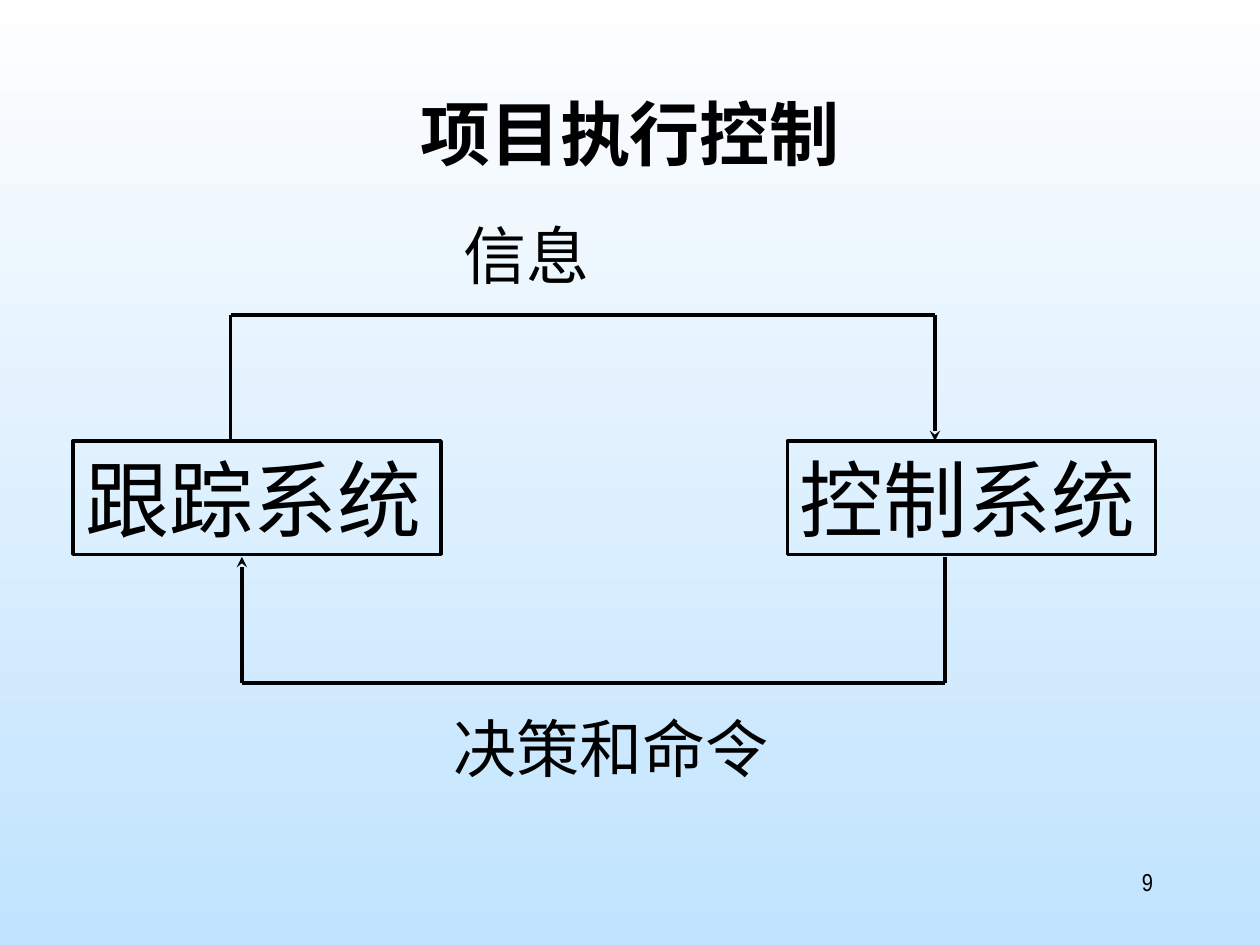
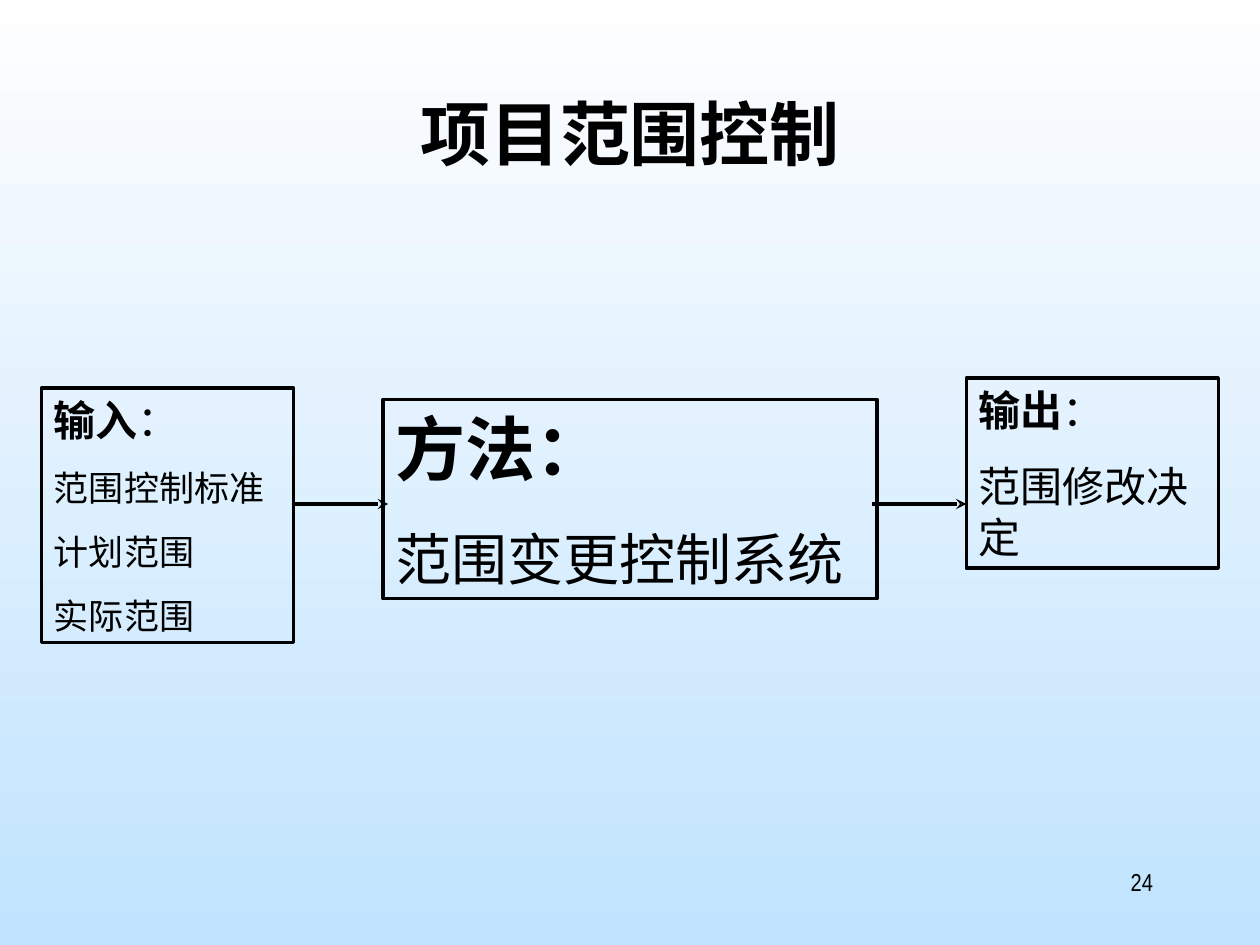
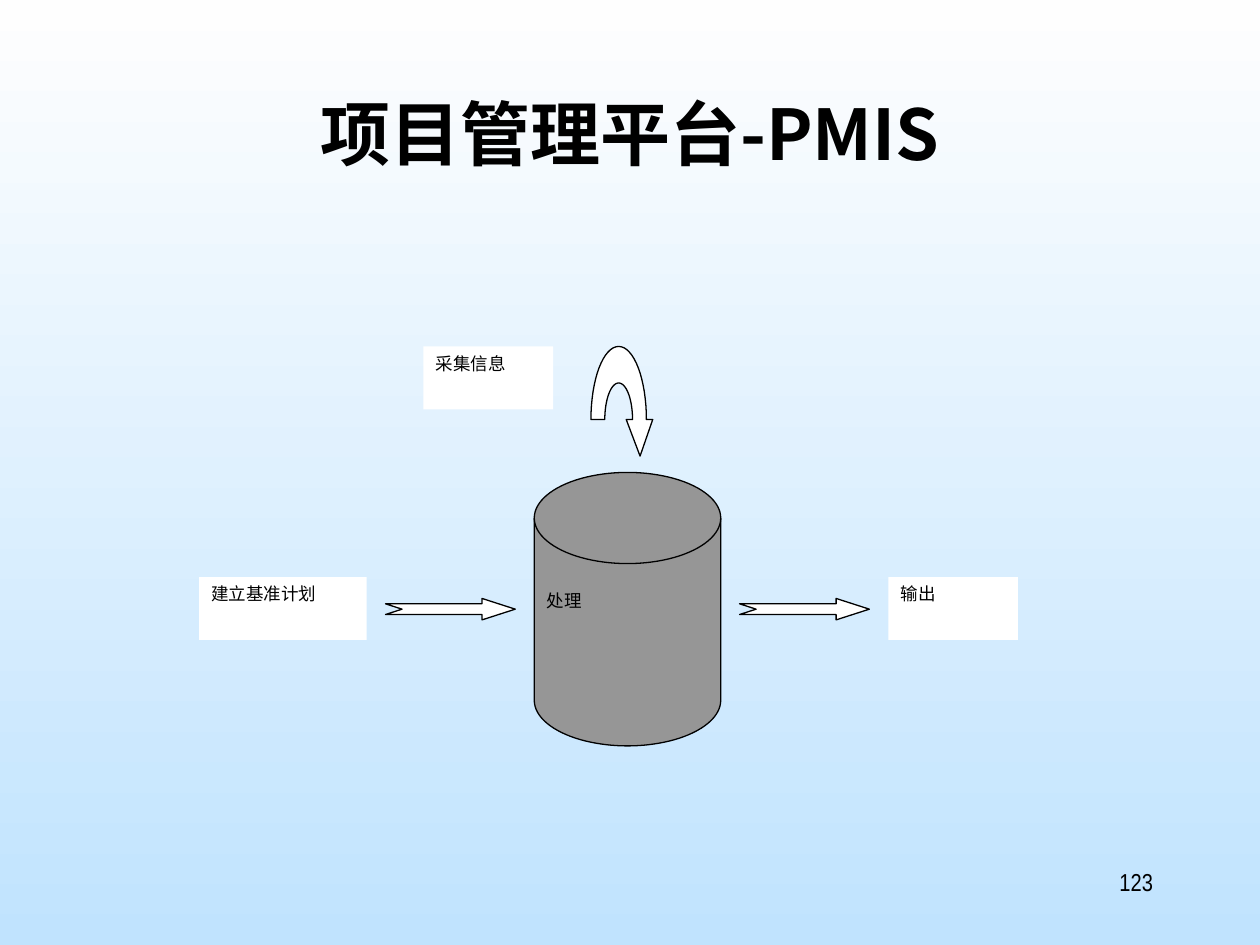
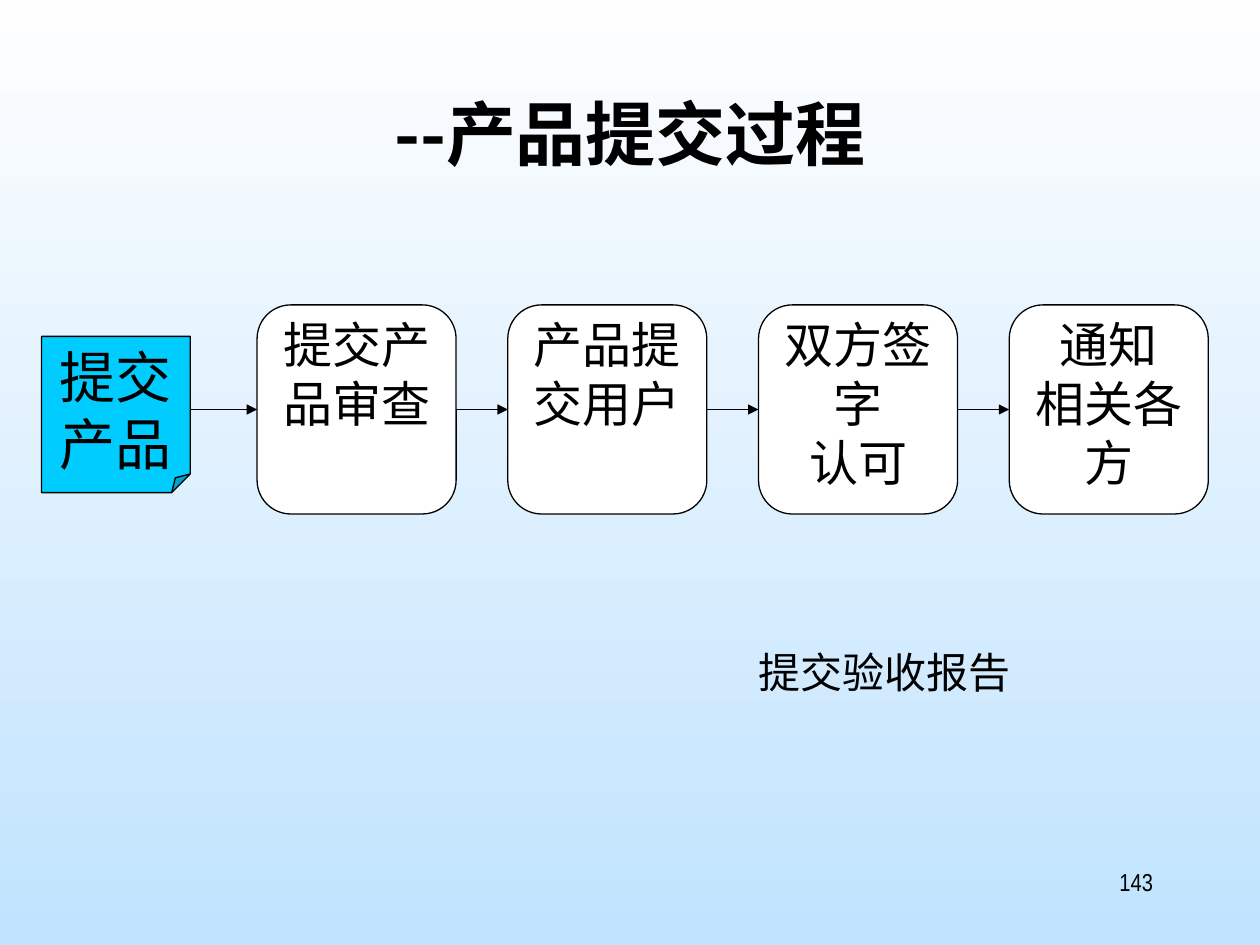
import math
from dataclasses import dataclass

from lxml import etree
from pptx import Presentation
from pptx.dml.color import RGBColor
from pptx.enum.shapes import MSO_CONNECTOR, MSO_SHAPE
from pptx.enum.text import MSO_ANCHOR, MSO_AUTO_SIZE, PP_ALIGN
from pptx.oxml.ns import qn
from pptx.util import Inches, Pt

LEFT, CENTER, RIGHT, JUSTIFY = PP_ALIGN.LEFT, PP_ALIGN.CENTER, PP_ALIGN.RIGHT, PP_ALIGN.JUSTIFY
TOP = MSO_ANCHOR.TOP
NO_AUTOFIT = MSO_AUTO_SIZE.NONE
STRAIGHT = MSO_CONNECTOR.STRAIGHT
RECTANGLE = MSO_SHAPE.RECTANGLE
ROUNDED = MSO_SHAPE.ROUNDED_RECTANGLE
FOLDED = MSO_SHAPE.FOLDED_CORNER
CYLINDER = MSO_SHAPE.FLOWCHART_MAGNETIC_DISK
NOTCHED_ARROW = MSO_SHAPE.NOTCHED_RIGHT_ARROW
TITLE_ONLY = 5
LEFT_SIDE, RIGHT_SIDE = 1, 3


@dataclass(frozen=True)
class Theme:
    ink: str = "000000"
    paper: str = "FFFFFF"
    sky_top: str = "FEFEFE"
    sky_bottom: str = "C0E3FE"
    store: str = "969696"
    product: str = "00CCFF"
    title_font: str = "Noto Sans CJK SC"
    body_font: str = "Arial Narrow"
    diagram_font: str = "Times New Roman"
    title_size: int = 40
    system_size: int = 48
    flow_size: int = 36
    note_size: int = 24
    number_size: int = 14
    label_size: int = 10
    product_size: int = 32
    step_size: int = 28
    thick: float = 2
    thin: float = 0.75


THEME = Theme()
TITLE_BOX = (0.75, 0.67, 8.5, 1.25)
NUMBER_BOX = (7.17, 6.83, 2.08, 0.5)

SYSTEMS = [("跟踪系统", 0.58), ("控制系统", 6.25)]
SYSTEM_TOP, SYSTEM_WIDTH, SYSTEM_HEIGHT = 3.5, 2.92, 0.9
FLOWS = [
    ("信息", (3.58, 1.67, 1.58, 0.7), [(1.83, 3.5), (1.83, 2.5), (7.42, 2.5), (7.42, 3.5)]),
    ("决策和命令", (3.5, 5.58, 2.83, 0.7), [(7.5, 4.42), (7.5, 5.42), (1.92, 5.42), (1.92, 4.42)]),
]

SCOPE_BOXES = [
    ((3.04, 3.17, 3.92, 1.58), [("方法：", "", 40), ("", "范围变更控制系统", 32)]),
    ((0.33, 3.08, 2, 2.02), [("输入", "：", 24), ("", "范围控制标准", 20),
                             ("", "计划范围", 20), ("", "实际范围", 20)]),
    ((7.67, 3, 2, 1.51), [("输出", "：", 24), ("", "范围修改决定", 24)]),
]
SCOPE_ARROW_STARTS, SCOPE_ARROW_Y, SCOPE_ARROW_LENGTH = (2.33, 6.92), 4, 0.75

PLATFORM_LABELS = [
    ("建立基准计划", (1.58, 4.58, 1.33, 0.5)),
    ("输出", (7.05, 4.58, 1.03, 0.5)),
    ("采集信息", (3.36, 2.75, 1.03, 0.5)),
]
PROCESS_LABEL, PROCESS_BOX = "处理", (4.24, 3.75, 1.48, 2.17)
BLOCK_ARROWS = [(3.06, 4.75, 1.03, 0.17), (5.87, 4.75, 1.03, 0.17)]
TURN_CENTER = (4.91, 3.33)
TURN_OUTER, TURN_INNER = (0.22, 0.58), (0.11, 0.29)
TURN_HEAD = [(5.18, 3.33), (5.08, 3.62), (4.97, 3.33)]

PRODUCT, PRODUCT_BOX = "提交产品", (0.33, 2.67, 1.18, 1.24)
STEPS = [["提交产品审查"], ["产品提交用户"], ["双方签字", "认可"], ["通知", "相关各方"]]
STEP_LEFT, STEP_TOP, STEP_WIDTH, STEP_HEIGHT, STEP_PITCH = 2.04, 2.42, 1.58, 1.66, 1.99
REPORT, REPORT_BOX = "提交验收报告", (5.92, 5.08, 2.42, 0.5)


def color(value):
    return RGBColor.from_string(value)


def inches(values):
    return [Inches(value) for value in values]


def set_margins(frame, side=0.1, top=0.05):
    frame.margin_left = frame.margin_right = Inches(side)
    frame.margin_top, frame.margin_bottom = Inches(top), Inches(0.05)
    frame.vertical_anchor = TOP
    frame.auto_size = NO_AUTOFIT
    frame.word_wrap = True


def style(paragraph, font, size, align=LEFT, bold=False):
    paragraph.alignment = align
    paragraph.font.name = font
    paragraph.font.size = Pt(size)
    paragraph.font.bold = bold
    paragraph.font.color.rgb = color(THEME.ink)


def write(shape, lines, font, size, align=LEFT, side=0.1, top=0.05):
    frame = shape.text_frame
    set_margins(frame, side, top)
    frame.text = "\n".join(lines)
    for paragraph in frame.paragraphs:
        style(paragraph, font, size, align)


def paint(shape, fill=None, line=None, width=THEME.thin):
    shape.shadow.inherit = False
    if fill:
        shape.fill.solid()
        shape.fill.fore_color.rgb = color(fill)
    else:
        shape.fill.background()
    if line:
        shape.line.color.rgb = color(line)
        shape.line.width = Pt(width)
    else:
        shape.line.fill.background()
    return shape


def add_shape(slide, kind, box, **paint_options):
    return paint(slide.shapes.add_shape(kind, *inches(box)), **paint_options)


def add_text(slide, text, box, size, align=LEFT):
    write(slide.shapes.add_textbox(*inches(box)), [text], THEME.body_font, size, align)


def add_line(slide, start, end, width, head=None):
    connector = slide.shapes.add_connector(STRAIGHT, *inches(start + end))
    connector.line.color.rgb = color(THEME.ink)
    connector.line.width = Pt(width)
    properties = connector.line._get_or_add_ln()
    if head:
        etree.SubElement(properties, qn("a:tailEnd"), type=head)
    etree.SubElement(properties.getparent(), qn("a:effectLst"))
    return connector


def set_background(master):
    fill = master.background.fill
    fill.gradient()
    fill.gradient_angle = 270
    for stop, value in zip(fill.gradient_stops, (THEME.sky_top, THEME.sky_bottom)):
        stop.color.rgb = color(value)


def add_slide(presentation, title_text, number):
    slide = presentation.slides.add_slide(presentation.slide_layouts[TITLE_ONLY])
    title = slide.shapes.title
    title.left, title.top, title.width, title.height = inches(TITLE_BOX)
    title.text_frame.text = title_text
    set_margins(title.text_frame)
    style(title.text_frame.paragraphs[0], THEME.title_font, THEME.title_size, CENTER, True)
    add_text(slide, str(number), NUMBER_BOX, THEME.number_size, RIGHT)
    return slide


def build_control_loop(slide):
    for name, left in SYSTEMS:
        box = (left, SYSTEM_TOP, SYSTEM_WIDTH, SYSTEM_HEIGHT)
        system = add_shape(slide, RECTANGLE, box, line=THEME.ink, width=THEME.thick)
        write(system, [name], THEME.body_font, THEME.system_size)
    for name, box, corners in FLOWS:
        add_text(slide, name, box, THEME.flow_size)
        for start, end in zip(corners, corners[1:]):
            head = "stealth" if end == corners[-1] else None
            add_line(slide, start, end, THEME.thick, head)


def build_scope_control(slide):
    for box, lines in SCOPE_BOXES:
        shape = add_shape(slide, RECTANGLE, box, line=THEME.ink, width=THEME.thick)
        frame = shape.text_frame
        set_margins(frame)
        for index, (strong, plain, size) in enumerate(lines):
            paragraph = frame.add_paragraph() if index else frame.paragraphs[0]
            style(paragraph, THEME.body_font, size)
            if index:
                paragraph.space_before = Pt(size * 0.625)
            for text, bold in ((strong, True), (plain, False)):
                if text:
                    run = paragraph.add_run()
                    run.text = text
                    run.font.bold = bold
    for x in SCOPE_ARROW_STARTS:
        add_line(slide, (x, SCOPE_ARROW_Y), (x + SCOPE_ARROW_LENGTH, SCOPE_ARROW_Y),
                 THEME.thick, "stealth")


def half_ellipse(radii, steps=32):
    angles = [math.pi * (1 - step / steps) for step in range(steps + 1)]
    return [(TURN_CENTER[0] + radii[0] * math.cos(angle),
             TURN_CENTER[1] - radii[1] * math.sin(angle)) for angle in angles]


def build_platform(slide):
    for text, box in PLATFORM_LABELS:
        label = add_shape(slide, RECTANGLE, box, fill=THEME.paper)
        write(label, [text], THEME.diagram_font, THEME.label_size, JUSTIFY)
    outline = half_ellipse(TURN_OUTER) + TURN_HEAD + half_ellipse(TURN_INNER)[::-1]
    points = [inches(point) for point in outline]
    builder = slide.shapes.build_freeform(*points[0])
    builder.add_line_segments(points[1:], close=True)
    paint(builder.convert_to_shape(), THEME.paper, THEME.ink)
    process = add_shape(slide, CYLINDER, PROCESS_BOX, fill=THEME.store, line=THEME.ink)
    write(process, [PROCESS_LABEL], THEME.diagram_font, THEME.label_size, JUSTIFY, top=0.21)
    for box in BLOCK_ARROWS:
        arrow = add_shape(slide, NOTCHED_ARROW, box, fill=THEME.paper, line=THEME.ink)
        arrow.adjustments[0], arrow.adjustments[1] = 0.5, 1.55


def build_delivery(slide):
    product = add_shape(slide, FOLDED, PRODUCT_BOX, fill=THEME.product, line=THEME.ink)
    fold = next(product.element.iter(qn("a:avLst")))
    etree.SubElement(fold, qn("a:gd"), name="adj", fmla="val 12500")
    write(product, [PRODUCT], THEME.diagram_font, THEME.product_size, CENTER, side=0)
    middle = STEP_TOP + STEP_HEIGHT / 2
    previous, previous_right = None, PRODUCT_BOX[0] + PRODUCT_BOX[2]
    for index, lines in enumerate(STEPS):
        left = STEP_LEFT + index * STEP_PITCH
        box = (left, STEP_TOP, STEP_WIDTH, STEP_HEIGHT)
        step = add_shape(slide, ROUNDED, box, fill=THEME.paper, line=THEME.ink)
        step.adjustments[0] = 0.17
        write(step, lines, THEME.diagram_font, THEME.step_size, CENTER, top=0)
        arrow = add_line(slide, (previous_right, middle), (left, middle), THEME.thin, "triangle")
        if previous:
            arrow.begin_connect(previous, RIGHT_SIDE)
        arrow.end_connect(step, LEFT_SIDE)
        previous, previous_right = step, left + STEP_WIDTH
    add_text(slide, REPORT, REPORT_BOX, THEME.note_size)


SLIDES = [
    ("项目执行控制", 9, build_control_loop),
    ("项目范围控制", 24, build_scope_control),
    ("项目管理平台-PMIS", 123, build_platform),
    ("--产品提交过程", 143, build_delivery),
]


def main():
    presentation = Presentation()
    presentation.slide_width, presentation.slide_height = Inches(10), Inches(7.5)
    set_background(presentation.slide_master)
    for title, number, build in SLIDES:
        build(add_slide(presentation, title, number))
    presentation.save("out.pptx")


if __name__ == "__main__":
    main()
